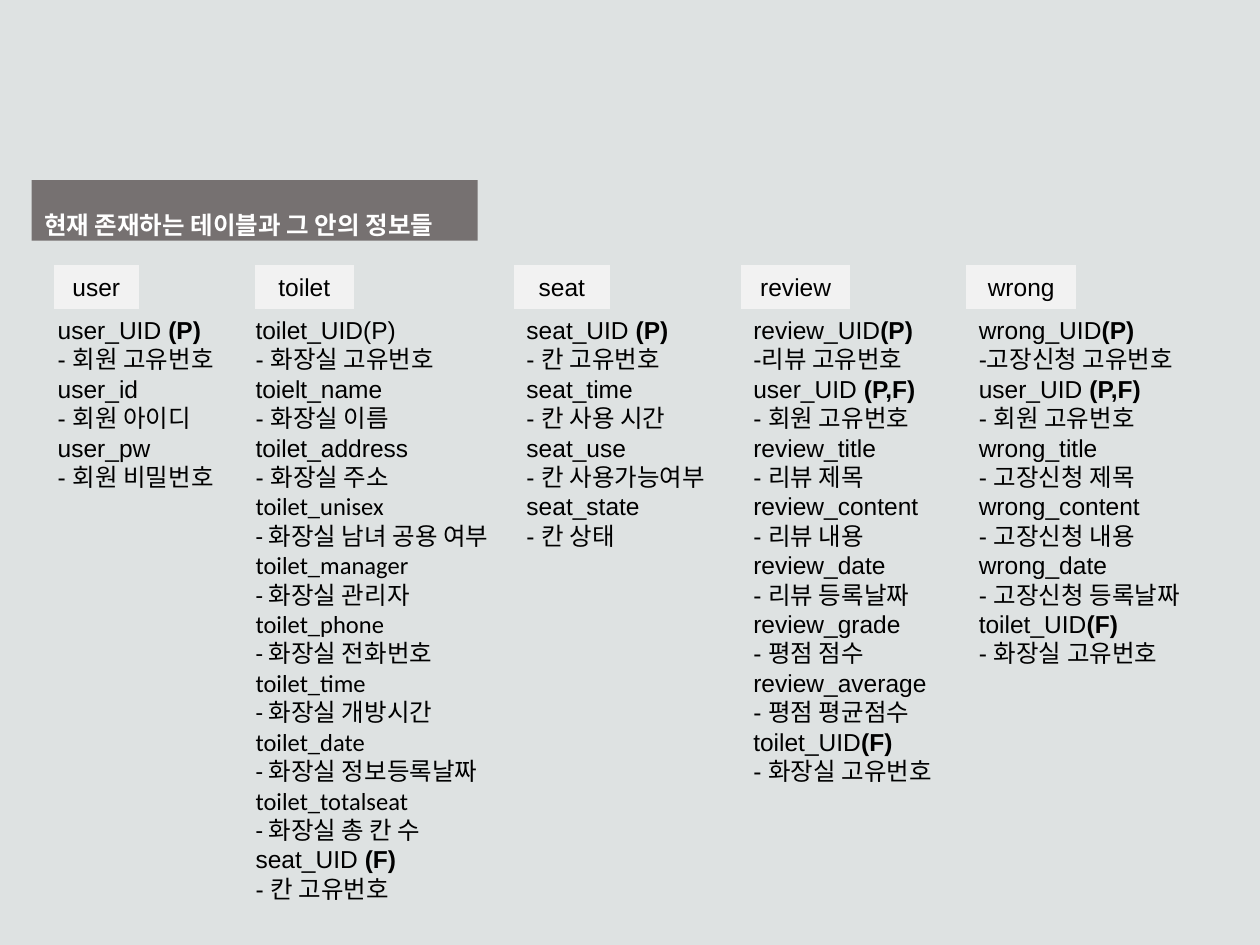
"""Build the slide listing the existing database tables and their fields."""
from dataclasses import dataclass

from pptx import Presentation
from pptx.dml.color import RGBColor
from pptx.enum.shapes import MSO_SHAPE as Shape
from pptx.enum.text import MSO_ANCHOR as Anchor, MSO_AUTO_SIZE as AutoSize, PP_ALIGN as Align
from pptx.util import Inches, Pt


@dataclass(frozen=True)
class Theme:
    background: str = "DEE2E2"
    banner: str = "767171"
    label: str = "F2F2F2"
    ink: str = "000000"
    light: str = "FFFFFF"
    latin: str = "Arial"
    alternate: str = "Calibri"
    size: int = 14


THEME = Theme()
HEADING = "현재 존재하는 테이블과 그 안의 정보들"

TABLES = [
    {"name": "user", "label": (0.43, 0.67), "list": (0.36, 1.63), "fields": [
        ("user_UID ", "(P)", "- 회원 고유번호"),
        ("user_id", "", "- 회원 아이디"),
        ("user_pw", "", "- 회원 비밀번호"),
    ]},
    {"name": "toilet", "label": (2.02, 0.79), "list": (1.93, 2.37), "fields": [
        ("toilet_UID(P)", "", "- 화장실 고유번호"),
        ("toielt_name", "", "- 화장실 이름"),
        ("toilet_address", "", "- 화장실 주소"),
        ("toilet_unisex", "", "- 화장실 남녀 공용 여부"),
        ("toilet_manager", "", "- 화장실 관리자"),
        ("toilet_phone", "", "- 화장실 전화번호"),
        ("toilet_time", "", "- 화장실 개방시간"),
        ("toilet_date", "", "- 화장실 정보등록날짜"),
        ("toilet_totalseat", "", "- 화장실 총 칸 수"),
        ("seat_UID ", "(F)", "- 칸 고유번호"),
    ]},
    {"name": "seat", "label": (4.08, 0.76), "list": (4.08, 1.79), "fields": [
        ("seat_UID ", "(P)", "- 칸 고유번호"),
        ("seat_time", "", "- 칸 사용 시간"),
        ("seat_use", "", "- 칸 사용가능여부"),
        ("seat_state", "", "- 칸 상태"),
    ]},
    {"name": "review", "label": (5.88, 0.87), "list": (5.88, 1.79), "fields": [
        ("review_UID", "(P)", "-리뷰 고유번호"),
        ("user_UID ", "(P,F)", "- 회원 고유번호"),
        ("review_title", "", "- 리뷰 제목"),
        ("review_content", "", "- 리뷰 내용"),
        ("review_date", "", "- 리뷰 등록날짜"),
        ("review_grade", "", "- 평점 점수"),
        ("review_average", "", "- 평점 평균점수"),
        ("toilet_UID", "(F)", "- 화장실 고유번호"),
    ]},
    {"name": "wrong", "label": (7.67, 0.87), "list": (7.67, 2.33), "fields": [
        ("wrong_UID", "(P)", "-고장신청 고유번호"),
        ("user_UID ", "(P,F)", "- 회원 고유번호"),
        ("wrong_title", "", "- 고장신청 제목"),
        ("wrong_content", "", "- 고장신청 내용"),
        ("wrong_date", "", "- 고장신청 등록날짜"),
        ("toilet_UID", "(F)", "- 화장실 고유번호"),
    ]},
]
ALTERNATE_FIELDS = {"toilet_unisex", "toilet_manager", "toilet_phone",
                    "toilet_time", "toilet_date", "toilet_totalseat"}
LABEL_TOP, LABEL_HEIGHT = 2.1, 0.35
LIST_TOP, LINE_HEIGHT, LIST_PADDING = 2.45, 0.235, 0.1


def paint(shape, color):
    shape.fill.solid()
    shape.fill.fore_color.rgb = RGBColor.from_string(color)
    shape.line.fill.background()


def write(paragraph, text, font=THEME.latin, color=THEME.ink, bold=False,
          align=Align.LEFT, spacing=None):
    paragraph.alignment = align
    if spacing:
        paragraph.line_spacing = spacing
    run = paragraph.add_run()
    run.text = text
    run.font.name = font
    run.font.size = Pt(THEME.size)
    run.font.bold = bold
    run.font.color.rgb = RGBColor.from_string(color)


def add_heading(slide):
    heading = slide.shapes.title
    heading.left, heading.top = Inches(0.25), Inches(1.43)
    heading.width, heading.height = Inches(3.54), Inches(0.48)
    paint(heading, THEME.banner)
    frame = heading.text_frame
    frame.auto_size = AutoSize.NONE
    frame.vertical_anchor = Anchor.MIDDLE
    write(frame.paragraphs[0], HEADING, font=THEME.alternate, color=THEME.light,
          bold=True, spacing=2.0)


def add_label(slide, name, left, width):
    label = slide.shapes.add_shape(
        Shape.FLOWCHART_PROCESS, Inches(left), Inches(LABEL_TOP),
        Inches(width), Inches(LABEL_HEIGHT))
    label.shadow.inherit = False
    paint(label, THEME.label)
    label.text_frame.vertical_anchor = Anchor.MIDDLE
    write(label.text_frame.paragraphs[0], name, align=Align.CENTER)


def add_fields(slide, fields, left, width):
    height = 2 * len(fields) * LINE_HEIGHT + LIST_PADDING
    frame = slide.shapes.add_textbox(
        Inches(left), Inches(LIST_TOP), Inches(width), Inches(height)).text_frame
    frame.word_wrap = True
    frame.auto_size = AutoSize.SHAPE_TO_FIT_TEXT
    for index, (field, key, meaning) in enumerate(fields):
        font = THEME.alternate if field in ALTERNATE_FIELDS else THEME.latin
        field_line = frame.add_paragraph() if index else frame.paragraphs[0]
        write(field_line, field, font=font)
        if key:
            write(field_line, key, font=font, bold=True)
        write(frame.add_paragraph(), meaning, font=font)


def main():
    deck = Presentation()
    deck.slide_width, deck.slide_height = Inches(10), Inches(7.5)
    slide = deck.slides.add_slide(deck.slide_layouts.get_by_name("Title Only"))
    slide.background.fill.solid()
    slide.background.fill.fore_color.rgb = RGBColor.from_string(THEME.background)
    add_heading(slide)
    for table in TABLES:
        add_label(slide, table["name"], *table["label"])
        add_fields(slide, table["fields"], *table["list"])
    deck.save("out.pptx")


if __name__ == "__main__":
    main()
